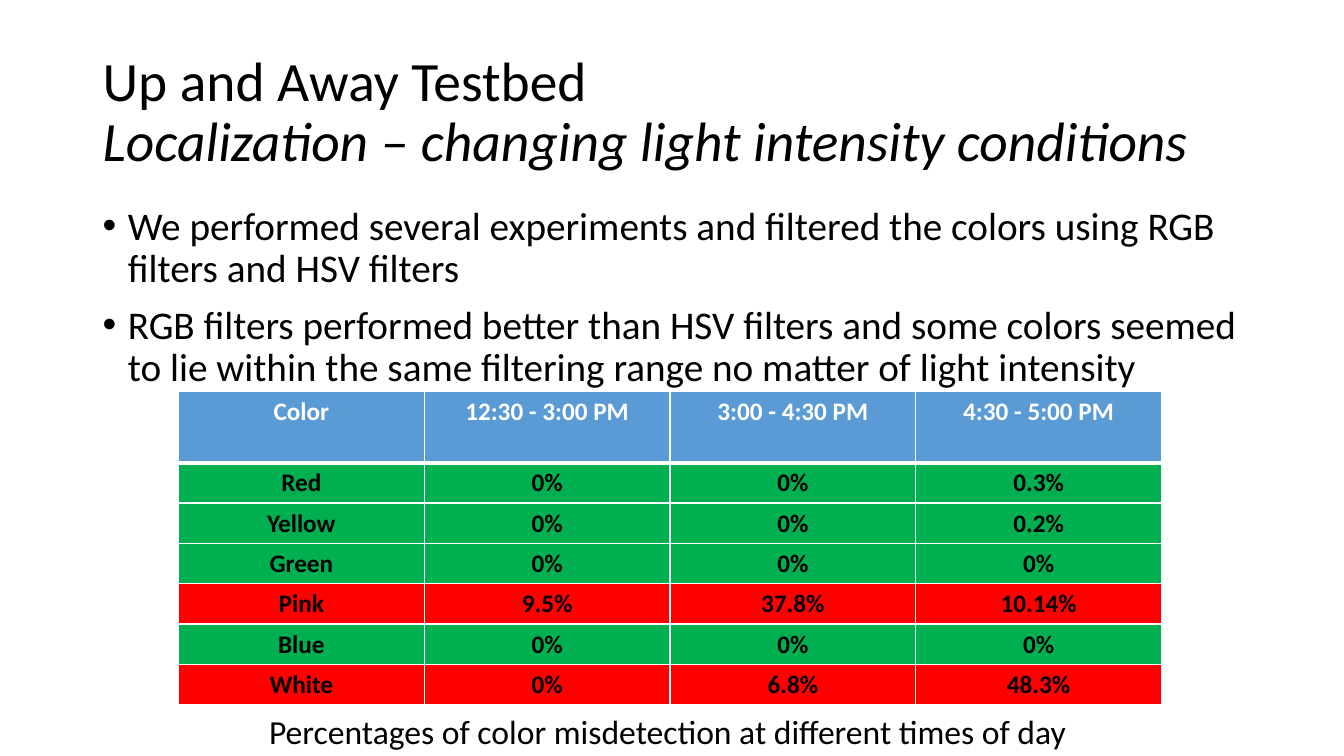
"""Build the slide on color misdetection under changing light."""
from dataclasses import dataclass

import lxml.etree
import pptx
import pptx.dml.color
import pptx.enum.text
import pptx.oxml.ns
import pptx.util
from pptx.util import Inches

qn = pptx.oxml.ns.qn


@dataclass(frozen=True)
class Theme:
    font: str = "Calibri"
    ink: str = "000000"
    paper: str = "FFFFFF"
    header: str = "5B9BD5"
    good: str = "00B050"
    bad: str = "FF0000"
    title_size: float = 39.6
    body_size: float = 28
    caption_size: float = 24
    table_size: float = 18
    thin: float = 1
    thick: float = 3


def add_text(paragraph, text, *, font, size, color, bold=False, italic=False):
    run = paragraph.add_run()
    run.text = text
    run.font.name = font
    run.font.size = pptx.util.Pt(size)
    run.font.bold = bold
    run.font.italic = italic
    run.font.color.rgb = pptx.dml.color.RGBColor.from_string(color)


class SlideBuilder:
    def __init__(self, slide, theme):
        self.slide = slide
        self.theme = theme

    def styled_text(self, paragraph, text, size, color=None, **style):
        add_text(paragraph, text, font=self.theme.font, size=size,
                 color=color or self.theme.ink, **style)

    def text_frame(self, left, top, width, height):
        shape = self.slide.shapes.add_textbox(
            Inches(left), Inches(top), Inches(width), Inches(height))
        shape.text_frame.word_wrap = True
        return shape.text_frame

    def title(self, heading, subheading, *place):
        frame = self.text_frame(*place)
        frame.vertical_anchor = pptx.enum.text.MSO_ANCHOR.MIDDLE
        paragraph = frame.paragraphs[0]
        paragraph.line_spacing = 0.9
        self.styled_text(paragraph, heading, self.theme.title_size)
        paragraph.add_line_break()
        self.styled_text(paragraph, subheading, self.theme.title_size, italic=True)

    def bullets(self, items, *place):
        frame = self.text_frame(*place)
        for index, item in enumerate(items):
            paragraph = frame.add_paragraph() if index else frame.paragraphs[0]
            paragraph.line_spacing = 0.9
            if index:
                paragraph.space_before = pptx.util.Pt(10)
            properties = paragraph._p.get_or_add_pPr()
            properties.set("marL", str(Inches(0.25)))
            properties.set("indent", str(Inches(-0.25)))
            lxml.etree.SubElement(properties, qn("a:buFont"), typeface="Arial")
            lxml.etree.SubElement(properties, qn("a:buChar"), char="•")
            self.styled_text(paragraph, item, self.theme.body_size)

    def caption(self, text, *place):
        frame = self.text_frame(*place)
        frame.word_wrap = False
        frame.auto_size = pptx.enum.text.MSO_AUTO_SIZE.SHAPE_TO_FIT_TEXT
        self.styled_text(frame.paragraphs[0], text, self.theme.caption_size)

    def borders(self, cell, top, bottom):
        properties = cell._tc.get_or_add_tcPr()
        thin = self.theme.thin
        widths = {"a:lnL": thin, "a:lnR": thin, "a:lnT": top, "a:lnB": bottom}
        for index, (side, width) in enumerate(widths.items()):
            line = lxml.etree.Element(qn(side), w=str(pptx.util.Pt(width)))
            fill = lxml.etree.SubElement(line, qn("a:solidFill"))
            lxml.etree.SubElement(fill, qn("a:srgbClr"), val=self.theme.paper)
            properties.insert(index, line)

    def table(self, rows, bad_rows, left, top, width, header_height, row_height):
        theme = self.theme
        height = header_height + row_height * (len(rows) - 1)
        table = self.slide.shapes.add_table(
            len(rows), len(rows[0]), Inches(left), Inches(top),
            Inches(width), Inches(height)).table
        for row_index, values in enumerate(rows):
            is_header = row_index == 0
            table.rows[row_index].height = Inches(header_height if is_header else row_height)
            if is_header:
                fill = theme.header
            else:
                fill = theme.bad if values[0] in bad_rows else theme.good
            for column_index, value in enumerate(values):
                cell = table.cell(row_index, column_index)
                cell.fill.solid()
                cell.fill.fore_color.rgb = pptx.dml.color.RGBColor.from_string(fill)
                self.borders(cell,
                             top=theme.thick if row_index == 1 else theme.thin,
                             bottom=theme.thick if is_header else theme.thin)
                paragraph = cell.text_frame.paragraphs[0]
                paragraph.alignment = pptx.enum.text.PP_ALIGN.CENTER
                self.styled_text(paragraph, value, theme.table_size,
                                 theme.paper if is_header else theme.ink, bold=True)


def main():
    presentation = pptx.Presentation()
    presentation.slide_width = Inches(13.33)
    presentation.slide_height = Inches(7.5)
    slide = presentation.slides.add_slide(presentation.slide_layouts[6])
    builder = SlideBuilder(slide, Theme())
    builder.title("Up and Away Testbed",
                  "Localization – changing light intensity conditions",
                  0.92, 0.4, 11.5, 1.45)
    builder.bullets([
        "We performed several experiments and filtered the colors using RGB "
        "filters and HSV filters",
        "RGB filters performed better than HSV filters and some colors seemed "
        "to lie within the same filtering range no matter of light intensity",
    ], 0.92, 2, 11.5, 4.76)
    misdetections = [
        ("Color", "12:30 - 3:00 PM", "3:00 - 4:30 PM", "4:30 - 5:00 PM"),
        ("Red", "0%", "0%", "0.3%"),
        ("Yellow", "0%", "0%", "0.2%"),
        ("Green", "0%", "0%", "0%"),
        ("Pink", "9.5%", "37.8%", "10.14%"),
        ("Blue", "0%", "0%", "0%"),
        ("White", "0%", "6.8%", "48.3%"),
    ]
    builder.table(misdetections, {"Pink", "White"}, 1.77, 3.88, 9.75,
                  header_height=0.71, row_height=0.4)
    builder.caption("Percentages of color misdetection at different times of day",
                    2.57, 7, 8.19, 0.5)
    presentation.save("out.pptx")


if __name__ == "__main__":
    main()
